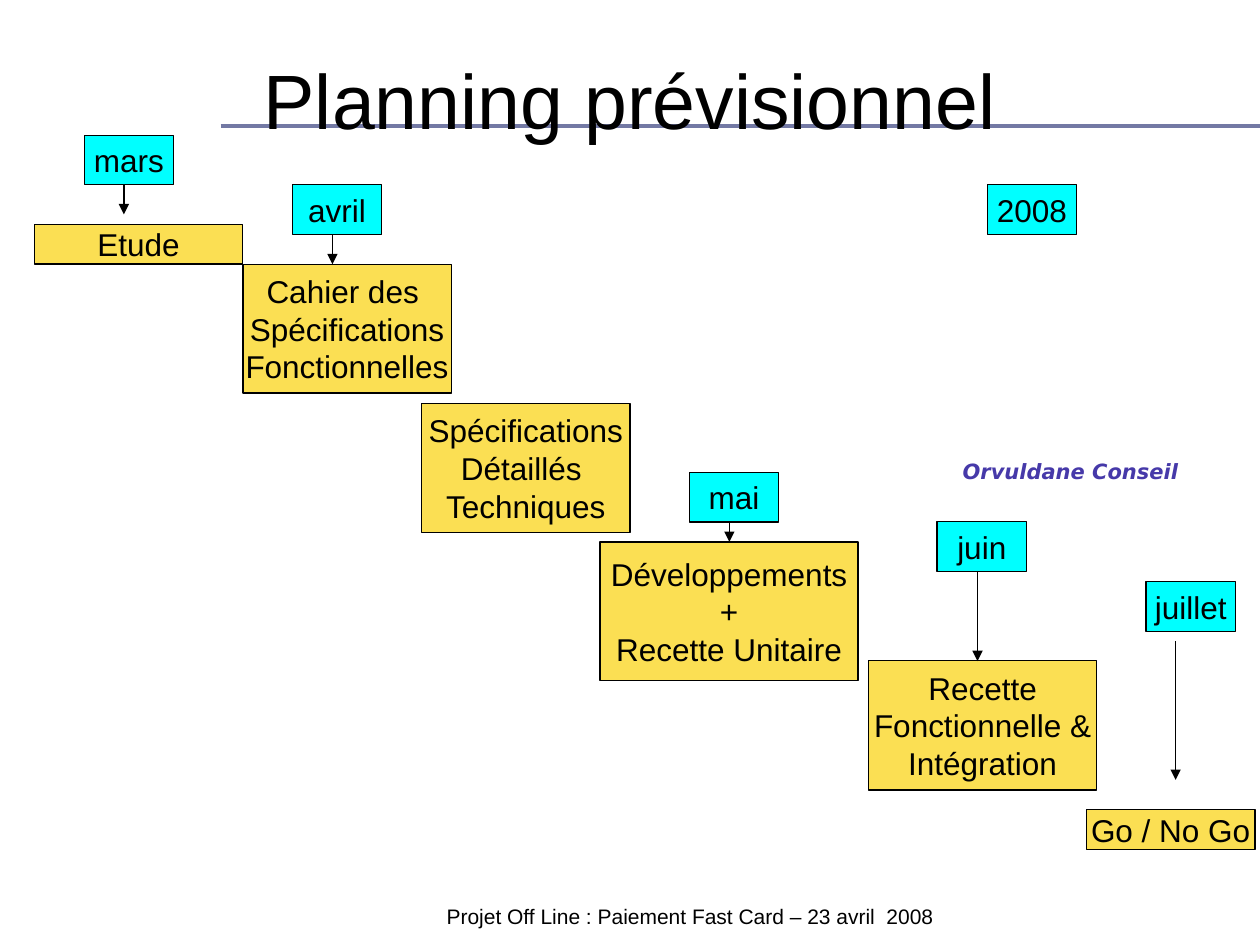
from dataclasses import dataclass

from lxml import etree
from pptx import Presentation
from pptx.dml.color import RGBColor
from pptx.enum.shapes import MSO_CONNECTOR, MSO_SHAPE
from pptx.enum.text import MSO_ANCHOR, PP_ALIGN
from pptx.oxml.ns import qn
from pptx.util import Pt

CENTER, RIGHT = PP_ALIGN.CENTER, PP_ALIGN.RIGHT
TOP, MIDDLE = MSO_ANCHOR.TOP, MSO_ANCHOR.MIDDLE
RECTANGLE, STRAIGHT = MSO_SHAPE.RECTANGLE, MSO_CONNECTOR.STRAIGHT
TITLE_ONLY = 5


@dataclass(frozen=True)
class Theme:
    ink: RGBColor = RGBColor(0, 0, 0)
    rule: RGBColor = RGBColor.from_string("7379A4")
    signature: RGBColor = RGBColor.from_string("4639A9")
    phase: RGBColor = RGBColor.from_string("FBDF53")
    date: RGBColor = RGBColor.from_string("00FFFF")
    font: str = "Arial"
    signature_font: str = "DejaVu Sans"
    title_size: int = 44
    label_size: int = 18
    small_size: int = 12
    thin: float = 0.75
    thick: float = 2.25


THEME = Theme()
DATE_WIDTH, DATE_HEIGHT = 51, 28.35

# Text, left, top, width, height
PHASES = [
    ("Etude", 19.6, 128.2, 119.1, 22.7),
    ("Cahier des \nSpécifications\nFonctionnelles", 138.8, 151, 119.1, 73.6),
    ("Spécifications\nDétaillés \nTechniques", 240.9, 230.4, 119.1, 73.8),
    ("Développements\n+\nRecette Unitaire", 342.9, 309.7, 147.5, 79.3),
    ("Recette\nFonctionnelle &\nIntégration", 496.2, 377.5, 130.6, 74),
    ("Go / No Go", 620.8, 462.7, 96.4, 22.8),
]
# Text, left, top
DATES = [
    ("mars", 48.2, 77.3),
    ("avril", 167.1, 105.6),
    ("mai", 393.9, 270),
    ("juin", 535.5, 298.2),
    ("juillet", 654.9, 332.4),
    ("2008", 564.2, 105.6),
]
# x, top, bottom
ARROWS = [
    (70.8, 105.6, 122.5),
    (190, 134, 151),
    (416.8, 298.2, 309.7),
    (558.6, 326.6, 377.8),
    (671.8, 366.4, 445.7),
]


def write(frame, text, *, size, color=THEME.ink, font=THEME.font, align=CENTER,
          anchor=MIDDLE, wrap=True, top_inset=3.6, spacing=1.0, bold=False, italic=False):
    frame.text = text
    frame.word_wrap = wrap
    frame.vertical_anchor = anchor
    frame.margin_left = frame.margin_right = Pt(7.2)
    frame.margin_top, frame.margin_bottom = Pt(top_inset), Pt(3.6)
    for paragraph in frame.paragraphs:
        paragraph.alignment = align
        paragraph.line_spacing = spacing
        style = paragraph.font
        style.name, style.size = font, Pt(size)
        style.bold, style.italic = bold, italic
        style.color.rgb = color


def add_label(slide, text, left, top, width, height, **style):
    box = slide.shapes.add_textbox(Pt(left), Pt(top), Pt(width), Pt(height))
    write(box.text_frame, text, size=THEME.small_size, anchor=TOP, **style)


def add_block(slide, text, left, top, width, height, fill):
    block = slide.shapes.add_shape(RECTANGLE, Pt(left), Pt(top), Pt(width), Pt(height))
    block.shadow.inherit = False
    block.fill.solid()
    block.fill.fore_color.rgb = fill
    block.line.color.rgb = THEME.ink
    block.line.width = Pt(THEME.thin)
    write(block.text_frame, text, size=THEME.label_size, wrap=False)


def add_line(slide, start, end, color, width, arrow=False):
    line = slide.shapes.add_connector(STRAIGHT, *map(Pt, start + end))
    line.line.color.rgb = color
    line.line.width = Pt(width)
    if arrow:
        etree.SubElement(line.line._get_or_add_ln(), qn("a:tailEnd"), type="triangle")
    etree.SubElement(line._element.spPr, qn("a:effectLst"))


def set_title(slide, text):
    """Fill the title and bring it in front of the rule."""
    title = slide.shapes.title
    title.left, title.top, title.width, title.height = map(Pt, (36, 21.6, 648, 90))
    write(title.text_frame, text, size=THEME.title_size, anchor=TOP, top_inset=8.3)
    title.element.getparent().append(title.element)


def main():
    deck = Presentation()
    deck.slide_width, deck.slide_height = Pt(720), Pt(540)
    slide = deck.slides.add_slide(deck.slide_layouts[TITLE_ONLY])

    add_line(slide, (126, 72), (720, 72), THEME.rule, THEME.thick)
    add_label(slide, "Projet Off Line : Paiement Fast Card – 23 avril  2008",
              213.8, 509.8, 361.4, 24.5, spacing=1.2)
    add_label(slide, "Orvuldane Conseil", 190.1, 258.5, 490.3, 21.6, align=RIGHT,
              color=THEME.signature, font=THEME.signature_font, bold=True, italic=True)
    set_title(slide, "Planning prévisionnel")

    for phase in PHASES:
        add_block(slide, *phase, THEME.phase)
    for x, top, bottom in ARROWS:
        add_line(slide, (x, top), (x, bottom), THEME.ink, THEME.thin, arrow=True)
    for date in DATES:
        add_block(slide, *date, DATE_WIDTH, DATE_HEIGHT, THEME.date)

    deck.save("out.pptx")


if __name__ == "__main__":
    main()
